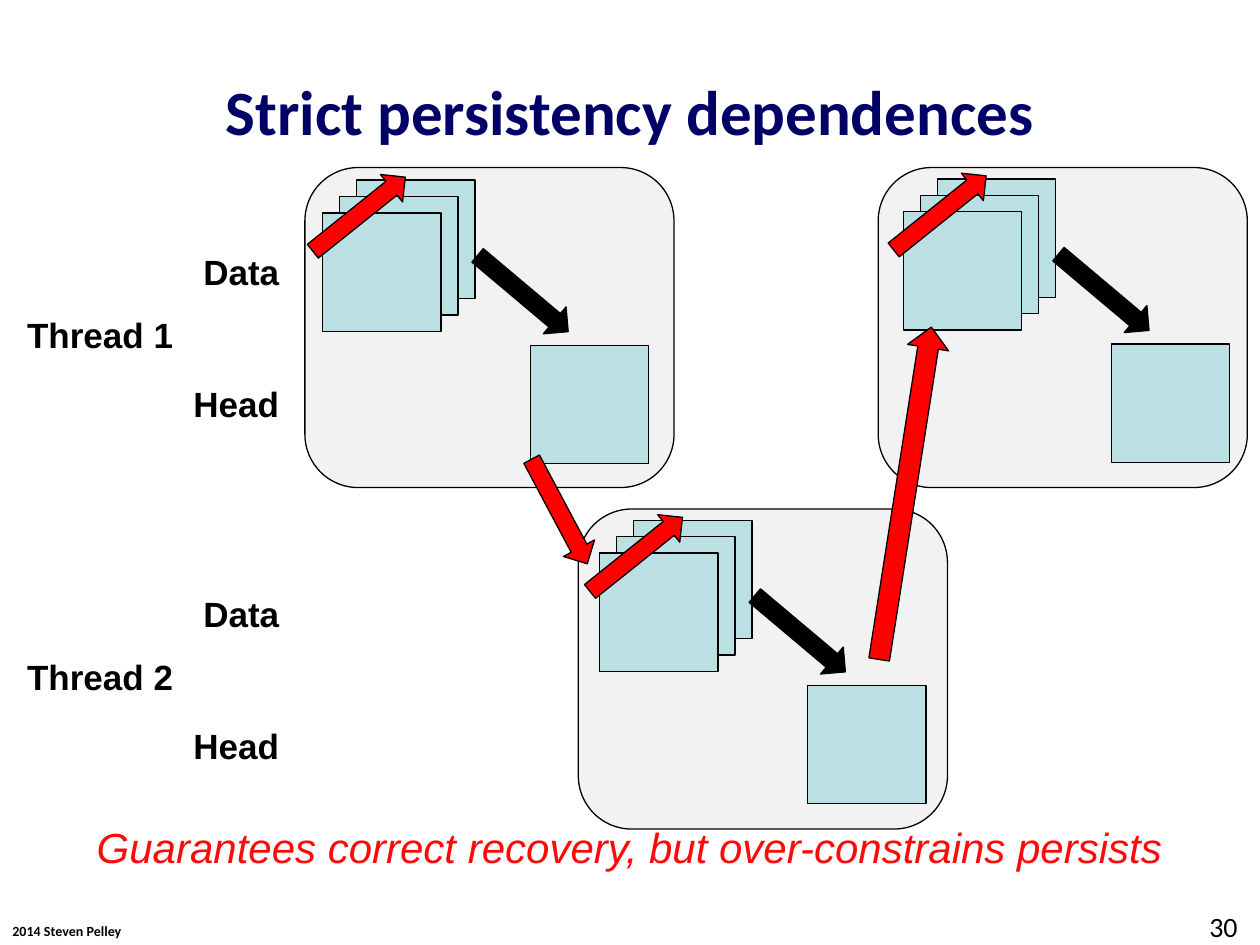
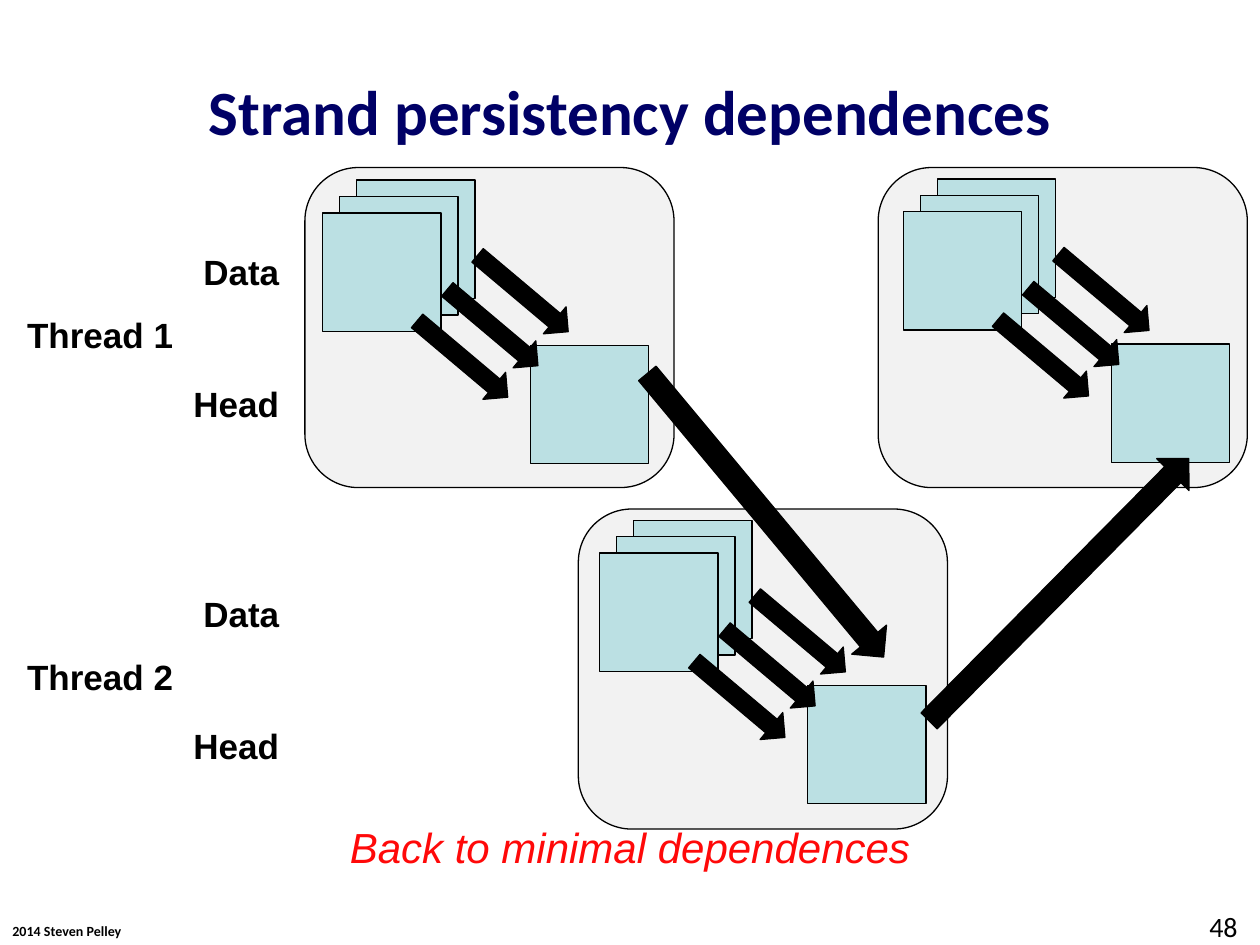
from pptx import Presentation
from pptx.dml.color import RGBColor
from pptx.enum.shapes import MSO_SHAPE as Shape
from pptx.enum.text import MSO_ANCHOR as Anchor, MSO_AUTO_SIZE as AutoSize, PP_ALIGN as Align
from pptx.util import Inches, Pt

BLACK = RGBColor(0x00, 0x00, 0x00)
NAVY = RGBColor(0x00, 0x00, 0x66)
RED = RGBColor(0xFF, 0x00, 0x00)
TAKEAWAY_RED = RGBColor(0xFF, 0x09, 0x09)
EPOCH_GREY = RGBColor(0xF2, 0xF2, 0xF2)
PERSIST_BLUE = RGBColor(0xBB, 0xE0, 0xE3)

TITLE_ONLY = 5
BLOCK = 0.94
ARROW_SIZE = (0.94, 0.28)

# Corner of each epoch's frame, and of its front data block
EPOCHS = [((6.97, 1.33), (7.17, 1.68)),
          ((4.59, 4.04), (4.76, 4.39)),
          ((2.42, 1.33), (2.56, 1.69))]
THREAD_TOPS = {"Thread 1": 1.94, "Thread 2": 4.65}


def write(frame, text, size, font="Arial", color=BLACK, bold=False,
          italic=False, align=Align.CENTER):
    paragraph = frame.paragraphs[0]
    paragraph.alignment = align
    run = paragraph.add_run()
    run.text = text
    run.font.name = font
    run.font.size = Pt(size)
    run.font.color.rgb = color
    run.font.bold = bold
    run.font.italic = italic


class Deck:
    def __init__(self):
        self.prs = Presentation()
        self.prs.slide_width = Inches(10)
        self.prs.slide_height = Inches(7.5)
        self.slide = None

    def new_slide(self, title, number):
        self.slide = self.prs.slides.add_slide(self.prs.slide_layouts[TITLE_ONLY])
        self.text("2014 Steven Pelley", 0, 7.27, 1.07, 0.24, size=8,
                  font="Calibri", bold=True, align=Align.LEFT)
        heading = self.slide.shapes.title
        heading.left, heading.top = Inches(0.5), Inches(0.5)
        heading.width, heading.height = Inches(9), Inches(0.75)
        heading.text_frame.auto_size = AutoSize.NONE
        heading.text_frame.vertical_anchor = Anchor.MIDDLE
        write(heading.text_frame, title, 36, font="Calibri", color=NAVY, bold=True)
        self.text(number, 9.5, 7.17, 0.5, 0.33, size=16, font="Calibri",
                  align=Align.LEFT)

    def text(self, text, left, top, width, height, **style):
        box = self.slide.shapes.add_textbox(
            Inches(left), Inches(top), Inches(width), Inches(height))
        box.text_frame.word_wrap = False
        write(box.text_frame, text, **style)

    def shape(self, kind, left, top, width, height, fill, angle=0, group=None):
        shapes = (group or self.slide).shapes
        shape = shapes.add_shape(
            kind, Inches(left), Inches(top), Inches(width), Inches(height))
        shape.shadow.inherit = False
        shape.fill.solid()
        shape.fill.fore_color.rgb = fill
        shape.line.color.rgb = BLACK
        shape.line.width = Pt(0.75)
        shape.rotation = angle

    def group(self):
        return self.slide.shapes.add_group_shape()

    def block(self, left, top, group=None):
        self.shape(Shape.RECTANGLE, left, top, BLOCK, BLOCK, PERSIST_BLUE, group=group)

    def arrow(self, left, top, angle, color=BLACK, size=ARROW_SIZE, group=None):
        self.shape(Shape.RIGHT_ARROW, left, top, *size, color, angle, group)

    def takeaway(self, text, left, width):
        self.text(text, left, 6.47, width, 0.5, size=24, color=TAKEAWAY_RED, italic=True)

    def thread_labels(self):
        for thread, top in THREAD_TOPS.items():
            self.text("Data", 1.51, top, 0.81, 0.44, size=20, bold=True)
            self.text("Head", 1.43, top + 1.05, 0.89, 0.44, size=20, bold=True)
            self.text(thread, 0.11, top + 0.5, 1.37, 0.44, size=20, bold=True)

    def epochs(self, data_to_head):
        """Draw each epoch with arrows at the given offsets from its first one."""
        for (left, top), _ in EPOCHS:
            self.shape(Shape.ROUNDED_RECTANGLE, left, top, 2.93, 2.54, EPOCH_GREY)
        for _, (left, top) in EPOCHS:
            data = self.group()
            for depth in (2, 1, 0):
                self.block(left + 0.135 * depth, top - 0.13 * depth, data)
            self.block(left + 1.65, top + 1.05)
            arrows = self.group()
            for dx, dy in data_to_head:
                self.arrow(left + 1.12 + dx, top + 0.5 + dy, 40.1, group=arrows)


def strict_persistency(deck):
    deck.new_slide("Strict persistency dependences", "30")
    deck.epochs([(0, 0)])
    deck.thread_labels()
    # Order among the data persists of one epoch
    for _, (left, top) in EPOCHS:
        deck.arrow(left - 0.18, top - 0.13, 321.3, RED)
    # Order between threads
    deck.arrow(3.97, 3.92, 62, RED)
    deck.arrow(5.85, 3.75, 278.9, RED, size=(2.67, 0.33))
    deck.takeaway("Guarantees correct recovery, but over-constrains persists", 0.58, 8.83)


def strand_persistency(deck):
    deck.new_slide("Strand persistency dependences", "48")
    deck.epochs([(0, 0), (-0.48, 0.52), (-0.24, 0.27)])
    deck.thread_labels()
    # Head to head, between threads
    deck.arrow(4.61, 3.91, 50.2, size=(2.93, 0.36))
    deck.arrow(6.94, 4.5, 314.7, size=(2.93, 0.36))
    deck.takeaway("Back to minimal dependences", 2.65, 4.7)


def main():
    deck = Deck()
    strict_persistency(deck)
    strand_persistency(deck)
    deck.prs.save("out.pptx")


if __name__ == "__main__":
    main()
